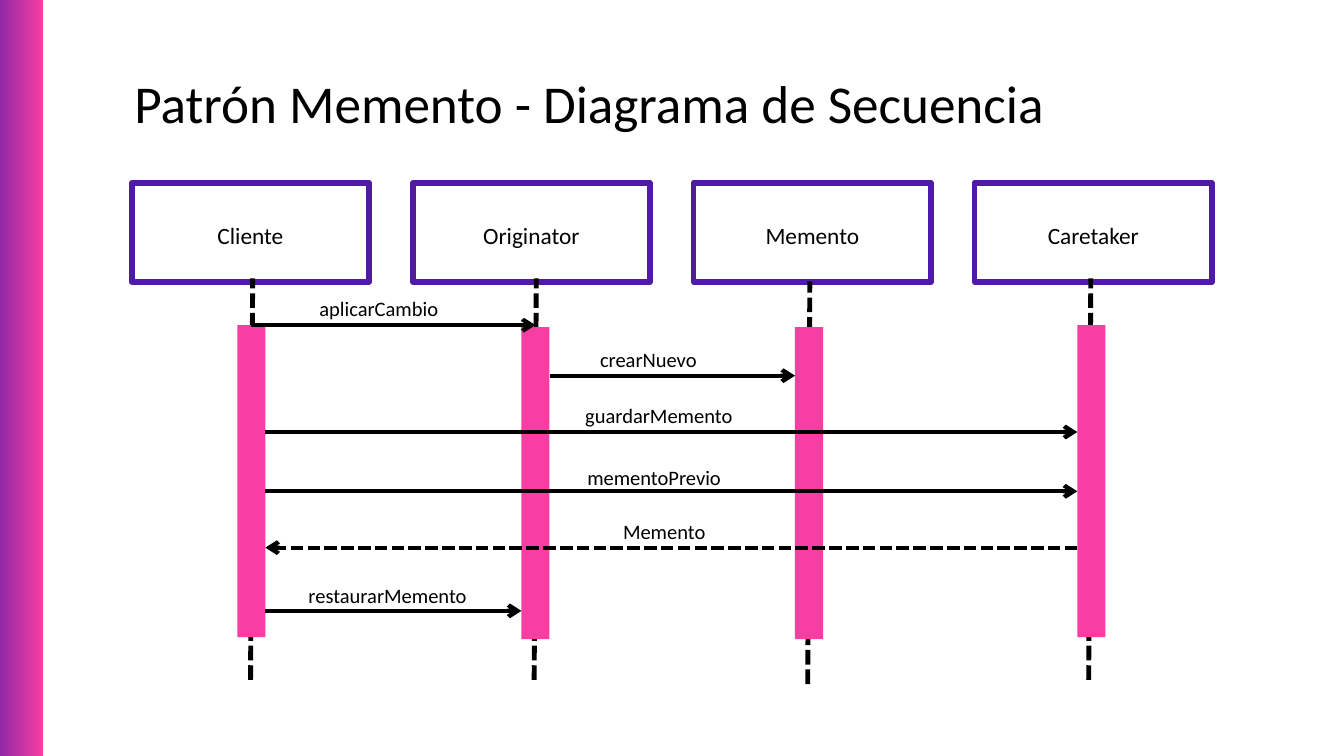
from dataclasses import dataclass

from lxml.etree import SubElement
from pptx import Presentation
from pptx.dml.color import RGBColor
from pptx.enum.dml import MSO_LINE
from pptx.enum.shapes import MSO_CONNECTOR, MSO_SHAPE
from pptx.enum.text import MSO_ANCHOR, PP_ALIGN
from pptx.oxml.ns import qn
from pptx.util import Cm, Pt

BLACK, PURPLE, PINK = "000000", "501BA4", "F83EA3"
BOX_LEFT, BOX_STEP, BOX_TOP, BOX_W, BOX_H = 4.98, 10.62, 6.91, 8.97, 3.75
BAR_W, BAR_H = 1.06, 11.79
LABEL_H = 1.12


@dataclass
class Participant:
    name: str
    bar_x: float
    bar_y: float
    life_x: float
    life_top: float
    life_bottom: float


@dataclass
class Message:
    text: str
    source: int
    target: int
    y: float
    label_x: float
    label_y: float
    label_w: float
    from_top: bool = False
    dashed: bool = False


PARTICIPANTS = [
    Participant("Cliente", 8.97, 12.29, 9.47, 10.52, 25.7),
    Participant("Originator", 19.71, 12.37, 20.19, 10.52, 25.7),
    Participant("Memento", 30.05, 12.37, 30.53, 10.64, 25.86),
    Participant("Caretaker", 40.72, 12.29, 41.15, 10.52, 25.7),
]
MESSAGES = [
    Message("aplicarCambio", 0, 1, 12.29, 12.07, 11.02, 7.95, from_top=True),
    Message("crearNuevo", 1, 2, 14.2, 22.68, 12.95, 8.61),
    Message("guardarMemento", 0, 3, 16.33, 22.12, 15.09, 7.24),
    Message("mementoPrevio", 0, 3, 18.57, 22.2, 17.42, 6.38),
    Message("Memento", 3, 0, 20.7, 23.55, 19.46, 4.01, dashed=True),
    Message("restaurarMemento", 0, 1, 23.09, 11.66, 21.89, 7.9),
]


def rgb(value: str) -> RGBColor:
    return RGBColor.from_string(value)


def add_rect(s, x: float, y: float, w: float, h: float):
    sp = s.shapes.add_shape(MSO_SHAPE.RECTANGLE, Cm(x), Cm(y), Cm(w), Cm(h))
    sp.shadow.inherit = False
    sp.line.fill.background()
    return sp


def write(tf, text: str, size: float, spacing: float, align) -> None:
    tf.word_wrap = True
    tf.margin_left = tf.margin_top = tf.margin_right = tf.margin_bottom = 0
    p = tf.paragraphs[0]
    p.text = text
    p.alignment = align
    p.line_spacing = Pt(spacing)
    p.font.name = "Calibri"
    p.font.size = Pt(size)
    p.font.color.rgb = rgb(BLACK)


def add_text(s, x: float, y: float, w: float, h: float, text: str,
             size: float, spacing: float, align) -> None:
    box = s.shapes.add_textbox(Cm(x), Cm(y), Cm(w), Cm(h))
    write(box.text_frame, text, size, spacing, align)


def add_line(s, x1: float, y1: float, x2: float, y2: float, width: float,
             dashed: bool = False, arrow: bool = False):
    line = s.shapes.add_connector(
        MSO_CONNECTOR.STRAIGHT, Cm(x1), Cm(y1), Cm(x2), Cm(y2))
    line.line.color.rgb = rgb(BLACK)
    line.line.width = Pt(width)
    if dashed:
        line.line.dash_style = MSO_LINE.SQUARE_DOT
    if arrow:
        SubElement(line.line._get_or_add_ln(), qn("a:tailEnd"), type="arrow")
    SubElement(line._element.spPr, qn("a:effectLst"))
    return line


def add_sidebar(s) -> None:
    sp = add_rect(s, -0.99, -0.36, 2.62, 29.29)
    sp.fill.gradient()
    sp.fill.gradient_angle = 0
    for stop, color in zip(sp.fill.gradient_stops, (PURPLE, PINK)):
        stop.color.rgb = rgb(color)


def add_header(s, index: int, who: Participant) -> None:
    sp = add_rect(s, BOX_LEFT + index * BOX_STEP, BOX_TOP, BOX_W, BOX_H)
    sp.fill.background()
    sp.line.color.rgb = rgb(PURPLE)
    sp.line.width = Pt(6)
    sp.text_frame.vertical_anchor = MSO_ANCHOR.MIDDLE
    write(sp.text_frame, who.name, 25, 35, PP_ALIGN.CENTER)


def add_bar(s, who: Participant):
    sp = add_rect(s, who.bar_x, who.bar_y, BAR_W, BAR_H)
    sp.fill.solid()
    sp.fill.fore_color.rgb = rgb(PINK)
    return sp


def add_message(s, msg: Message, bars: list) -> None:
    x1, x2 = PARTICIPANTS[msg.source].bar_x, PARTICIPANTS[msg.target].bar_x
    if msg.from_top:
        x1, x2 = x1 + BAR_W / 2, x2 + BAR_W / 2
    elif x1 < x2:
        x1 += BAR_W
    else:
        x2 += BAR_W
    line = add_line(s, x1, msg.y, x2, msg.y, 4.5, msg.dashed, arrow=True)
    if msg.from_top:
        line.begin_connect(bars[msg.source], 0)
    add_text(s, msg.label_x, msg.label_y, msg.label_w, LABEL_H,
             msg.text, 22, 30.8, PP_ALIGN.JUSTIFY)


def main() -> None:
    prs = Presentation()
    prs.slide_width, prs.slide_height = Cm(50.8), Cm(28.575)
    s = prs.slides.add_slide(prs.slide_layouts[6])
    add_sidebar(s)
    add_text(s, 5.08, 2.72, 42.88, 2.51,
             "Patrón Memento - Diagrama de Secuencia", 57, 66.7, PP_ALIGN.LEFT)
    for i, who in enumerate(PARTICIPANTS):
        add_header(s, i, who)
    for who in PARTICIPANTS:
        add_line(s, who.life_x, who.life_bottom,
                 who.life_x + 0.08, who.life_top, 5.25, dashed=True)
    bars = [add_bar(s, who) for who in PARTICIPANTS]
    for msg in MESSAGES:
        add_message(s, msg, bars)
    prs.save("out.pptx")


if __name__ == "__main__":
    main()
